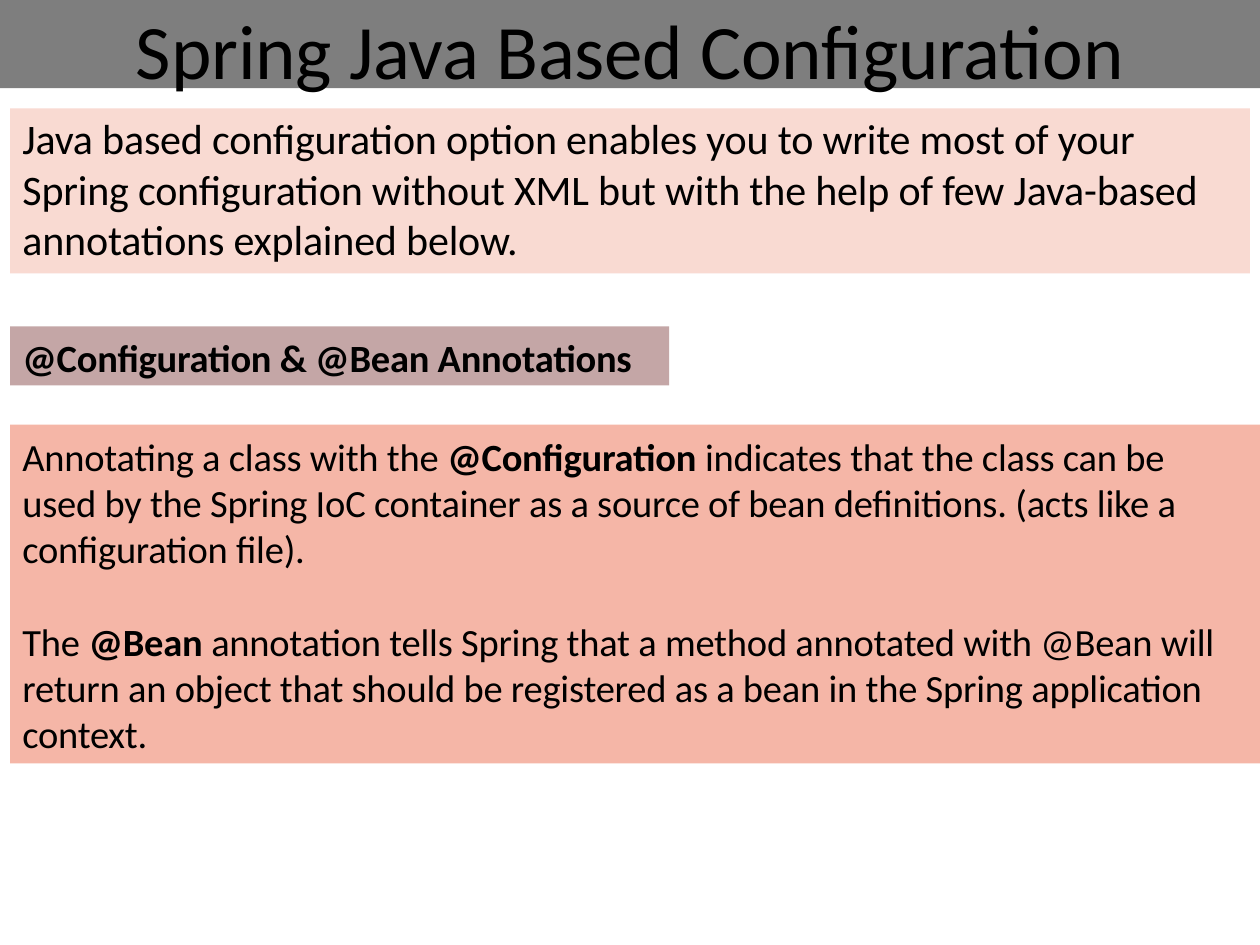
from pptx import Presentation
from pptx.dml.color import RGBColor
from pptx.enum.shapes import MSO_SHAPE
from pptx.enum.text import MSO_ANCHOR, PP_ALIGN
from pptx.util import Pt

BLACK = RGBColor(0x00, 0x00, 0x00)
GRAY = RGBColor(0x7E, 0x7E, 0x7E)
PALE_PINK = RGBColor(0xF9, 0xDA, 0xD2)
MAUVE = RGBColor(0xC4, 0xA6, 0xA6)
SALMON = RGBColor(0xF5, 0xB6, 0xA7)

WIDTH, HEIGHT = 720, 540
LEFT = 5.8
TEXT_RIGHT = 706
TEXT_INSET = 7
PARAGRAPH_GAP = 26.4


def add_panel(box, color, top_inset, size, paragraphs, align=PP_ALIGN.LEFT):
    """Draw a filled panel; each paragraph is a list of (text, bold) runs."""
    left, top, width, height = box
    shape = slide.shapes.add_shape(MSO_SHAPE.RECTANGLE, *map(Pt, box))
    shape.shadow.inherit = False
    shape.fill.solid()
    shape.fill.fore_color.rgb = color
    shape.line.fill.background()

    frame = shape.text_frame
    frame.word_wrap = True
    frame.vertical_anchor = MSO_ANCHOR.TOP
    frame.margin_left = Pt(TEXT_INSET if left else 0)
    frame.margin_right = Pt(max(0, left + width - TEXT_RIGHT) if left else 0)
    frame.margin_top, frame.margin_bottom = Pt(top_inset), 0
    for index, runs in enumerate(paragraphs):
        paragraph = frame.paragraphs[0] if index == 0 else frame.add_paragraph()
        paragraph.alignment = align
        if index:
            paragraph.space_before = Pt(PARAGRAPH_GAP)
        paragraph.font.name = "Calibri"
        paragraph.font.size = Pt(size)
        paragraph.font.color.rgb = BLACK
        for text, bold in runs:
            run = paragraph.add_run()
            run.text = text
            run.font.bold = bold
            run._r.get_or_add_rPr().set("spc", "-10")


presentation = Presentation()
presentation.slide_width, presentation.slide_height = Pt(WIDTH), Pt(HEIGHT)
slide = presentation.slides.add_slide(presentation.slide_layouts[6])

add_panel((0, 0, WIDTH, 50.4), GRAY, 1.5, 44,
          [[("Spring Java Based Configuration", False)]], PP_ALIGN.CENTER)

add_panel((LEFT, 62, 708.4, 94.2), PALE_PINK, 2.5, 24, [[
    ("Java based configuration option enables you to write most of your "
     "Spring configuration without XML but with the help of few Java-based "
     "annotations explained below.", False),
]])

add_panel((LEFT, 186.5, 376.6, 33.8), MAUVE, 4.3, 22,
          [[("@Configuration & @Bean Annotations", True)]])

add_panel((LEFT, 242.6, WIDTH - LEFT, 193.7), SALMON, 4.8, 22, [
    [
        ("Annotating a class with the ", False),
        ("@Configuration ", True),
        ("indicates that the class can be used by the Spring IoC container as "
         "a source of bean definitions. (acts like a configuration file).", False),
    ],
    [
        ("The ", False),
        ("@Bean ", True),
        ("annotation tells Spring that a method annotated with @Bean will "
         "return an object that should be registered as a bean in the Spring "
         "application context.", False),
    ],
])

presentation.save("out.pptx")
